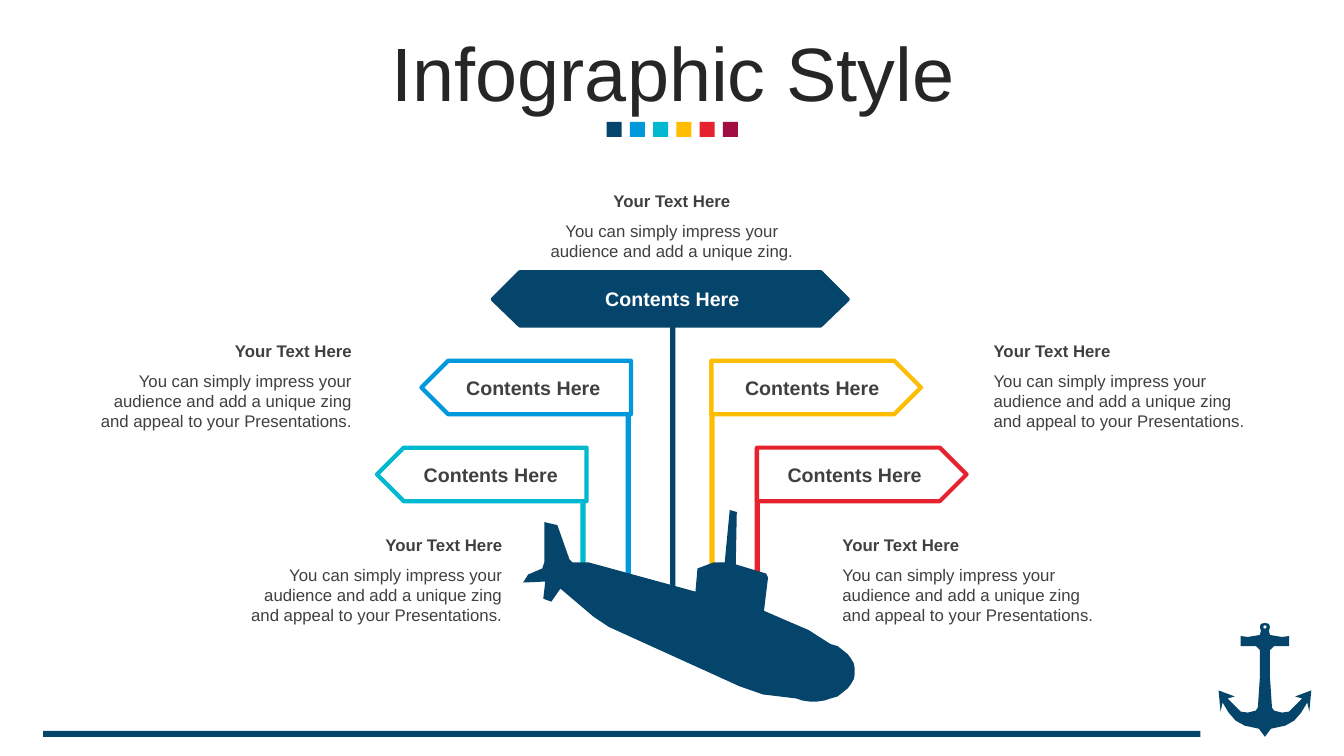
from math import cos, radians, sin

from pptx import Presentation
from pptx.dml.color import RGBColor
from pptx.enum.shapes import MSO_SHAPE
from pptx.enum.text import MSO_ANCHOR, PP_ALIGN
from pptx.util import Cm, Pt

NAVY = RGBColor(0x05, 0x45, 0x6B)
BLUE = RGBColor(0x01, 0x99, 0xDC)
TEAL = RGBColor(0x00, 0xB8, 0xD0)
YELLOW = RGBColor(0xFE, 0xBD, 0x00)
RED = RGBColor(0xE7, 0x22, 0x2F)
PLUM = RGBColor(0xA1, 0x0E, 0x42)
WHITE = RGBColor(0xFF, 0xFF, 0xFF)
BLACK = RGBColor(0x26, 0x26, 0x26)
GREY = RGBColor(0x40, 0x40, 0x40)
RECTANGLE, PENTAGON = MSO_SHAPE.RECTANGLE, MSO_SHAPE.PENTAGON
LEFT, CENTER, RIGHT = PP_ALIGN.LEFT, PP_ALIGN.CENTER, PP_ALIGN.RIGHT
MIDDLE = MSO_ANCHOR.MIDDLE
FONT = "Arial"
OUTLINE_UNIT = Cm(2.54) / 100
POST_WIDTH = 0.13
SIGN_WIDTH, SIGN_HEIGHT = 5.28, 1.35
LABEL_WIDTH, LABEL_HEIGHT, LABEL_INSET = 4.42, 0.86, 0.25
CAPTION_WIDTH, HEADING_HEIGHT = 7.09, 0.76


def paint(shape, fill, line=None):
    shape.shadow.inherit = False
    shape.fill.solid()
    shape.fill.fore_color.rgb = fill
    if line is None:
        shape.line.fill.background()
    else:
        shape.line.color.rgb = line
        shape.line.width = Pt(3)


def add_text(left, top, width, height, text, size, color, bold, alignment):
    box = slide.shapes.add_textbox(Cm(left), Cm(top), Cm(width), Cm(height))
    box.text_frame.word_wrap = True
    paragraph = box.text_frame.paragraphs[0]
    paragraph.text = text
    paragraph.alignment = alignment
    paragraph.font.name = FONT
    paragraph.font.size = Pt(size)
    paragraph.font.bold = bold
    paragraph.font.color.rgb = color


presentation = Presentation()
presentation.slide_width = Cm(33.87)
presentation.slide_height = Cm(19.05)
slide = presentation.slides.add_slide(presentation.slide_layouts[5])

title = slide.shapes.title
title.left, title.top, title.width, title.height = Cm(0.89), Cm(0.94), Cm(32.16), Cm(2.01)
title.text_frame.text = "Infographic Style"
title.text_frame.vertical_anchor = MIDDLE
paragraph = title.text_frame.paragraphs[0]
paragraph.alignment = CENTER
paragraph.line_spacing = 0.9
paragraph.font.name = FONT
paragraph.font.size = Pt(54)
paragraph.font.color.rgb = BLACK

for index, color in enumerate([NAVY, BLUE, TEAL, YELLOW, RED, PLUM]):
    square = slide.shapes.add_shape(
        RECTANGLE, Cm(15.29 + index * 0.585), Cm(3.07), Cm(0.38), Cm(0.38))
    paint(square, color)

base_line = slide.shapes.add_shape(RECTANGLE, Cm(1.09), Cm(18.42), Cm(29.16), Cm(0.15))
paint(base_line, NAVY)
mast = slide.shapes.add_shape(RECTANGLE, Cm(16.89), Cm(8.18), Cm(POST_WIDTH), Cm(6.6))
paint(mast, NAVY)

upper_row = (9.09, 5.59)
lower_row = (11.28, 3.3)
points_left, points_right = 180, 0
signs = [
    (BLUE, upper_row, points_left, 10.62, 15.77, 11.23),
    (YELLOW, upper_row, points_right, 17.93, 17.88, 18.26),
    (TEAL, lower_row, points_left, 9.5, 14.63, 10.16),
    (RED, lower_row, points_right, 19.08, 19.02, 19.33),
]
for color, (top, post_height), rotation, sign_left, post_left, label_left in signs:
    post = slide.shapes.add_shape(
        RECTANGLE, Cm(post_left), Cm(top), Cm(POST_WIDTH), Cm(post_height))
    paint(post, color)
    sign = slide.shapes.add_shape(
        PENTAGON, Cm(sign_left), Cm(top), Cm(SIGN_WIDTH), Cm(SIGN_HEIGHT))
    sign.rotation = rotation
    paint(sign, WHITE, color)
    add_text(label_left, top + LABEL_INSET, LABEL_WIDTH, LABEL_HEIGHT,
             "Contents Here", 14, GREY, True, CENTER)

banner_axis = 665
banner_half = [(149, 270), (176, 297), (149, 323)]

anchor_axis, eye_height, eye_radius = 1255, 622, 2
ring = [(0, 618), (4, 619), (5, 622), (4, 626)]
stock = [(5, 630), (17, 632), (24, 631), (24, 641), (9, 641), (5, 645)]
shank = [(5, 672), (7, 702)]
inner_arm = [(9, 705), (17, 707), (24, 706), (37, 693)]
fluke = [(30, 691), (46, 685), (44, 706), (42, 697)]
outer_arm = [(36, 707), (29, 715), (20, 720), (6, 723), (0, 731)]
anchor_half = ring + stock + shank + inner_arm + fluke + outer_arm

symmetric = []
for axis, half in [(banner_axis, banner_half), (anchor_axis, anchor_half)]:
    right_side = [(axis + offset, y) for offset, y in half]
    left_side = [(axis - offset, y) for offset, y in reversed(half)]
    symmetric.append(right_side + left_side)
banner, anchor = symmetric
anchor_eye = [(anchor_axis + eye_radius * x, eye_height + eye_radius * y)
              for x, y in [(0, -1), (-1, 0), (0, 1), (1, 0)]]

propeller = [(519, 578), (524, 570), (538, 564)]
upper_fin = [(540, 558), (540, 518), (553, 521), (565, 555)]
deck = [(568, 558), (584, 558), (690, 587)]
tower_rear = [(692, 564), (708, 558)]
periscope = [(719, 558), (724, 506), (731, 508), (730, 560)]
tower_front = [(760, 569), (762, 573), (758, 606), (781, 616), (802, 625)]
bow = [(807 + 41 * cos(radians(angle)), 666 + 30 * sin(radians(angle)))
       for angle in range(-65, 116, 10)]
keel = [(757, 689), (734, 681), (604, 622), (589, 612)]
lower_fin = [(556, 584), (547, 597), (539, 594), (541, 577)]
submarine = (propeller + upper_fin + deck + tower_rear + periscope
             + tower_front + bow + keel + lower_fin)

outlines = [([anchor, anchor_eye], None), ([banner], NAVY), ([submarine], None)]
for contours, line in outlines:
    start, *following = contours[0]
    builder = slide.shapes.build_freeform(*start, scale=OUTLINE_UNIT)
    builder.add_line_segments(following)
    for hole in contours[1:]:
        builder.move_to(*hole[0])
        builder.add_line_segments(hole[1:])
    paint(builder.convert_to_shape(), NAVY, line)

add_text(14.71, 7.11, 4.47, LABEL_HEIGHT, "Contents Here", 14, WHITE, True, CENTER)

short_text = "You can simply impress your audience and add a unique zing."
long_text = ("You can simply impress your audience and add a unique zing "
             "and appeal to your Presentations.")
captions = [
    (13.39, 4.67, 1.27, short_text, CENTER),
    (2.03, 8.46, 1.8, long_text, RIGHT),
    (24.79, 8.46, 1.8, long_text, LEFT),
    (5.82, 13.34, 1.8, long_text, RIGHT),
    (20.98, 13.34, 1.8, long_text, LEFT),
]
for left, top, body_height, text, alignment in captions:
    add_text(left, top, CAPTION_WIDTH, HEADING_HEIGHT,
             "Your Text Here", 12, GREY, True, alignment)
    add_text(left, top + HEADING_HEIGHT, CAPTION_WIDTH, body_height,
             text, 12, GREY, False, alignment)

presentation.save("out.pptx")
